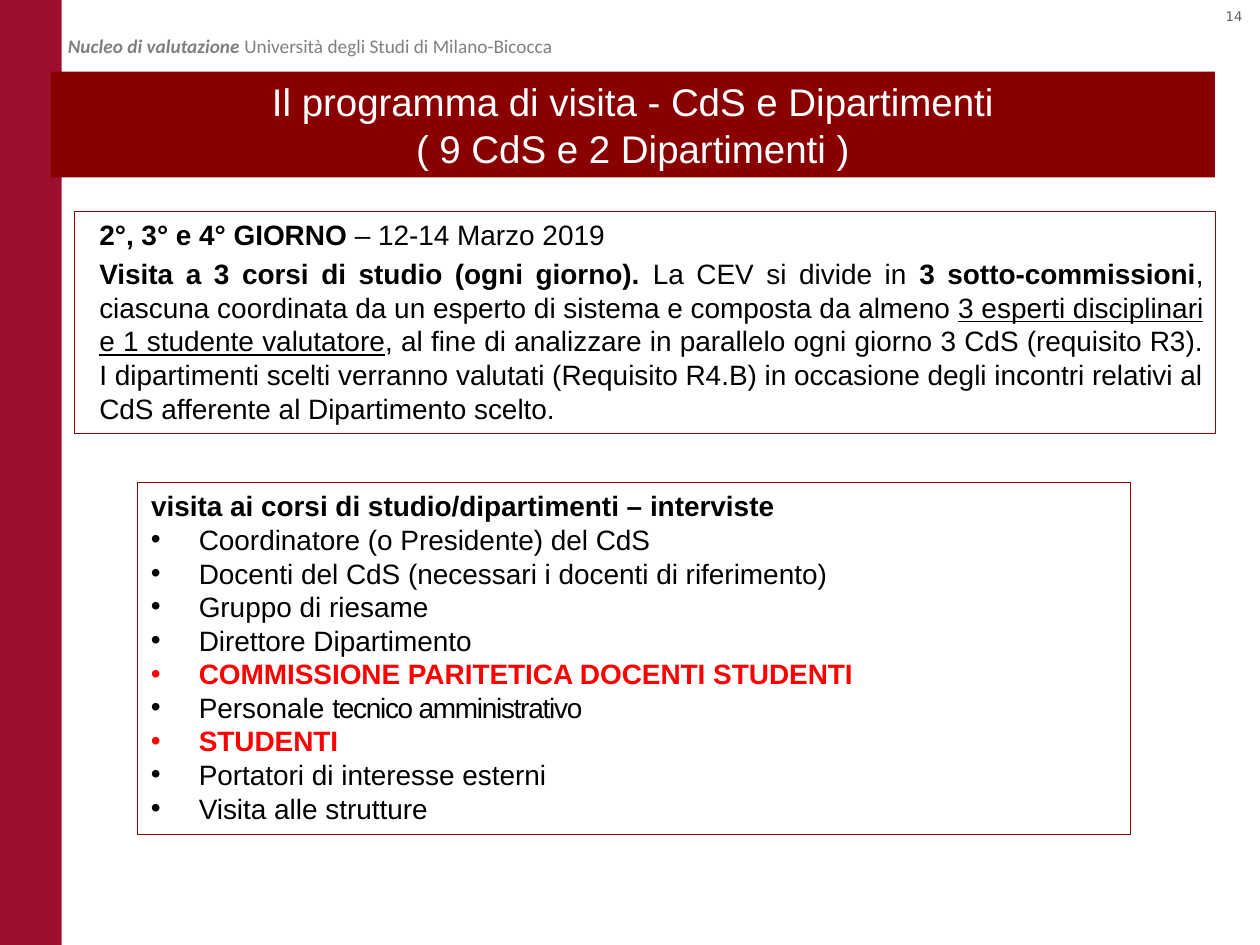
from pptx import Presentation
from pptx.dml.color import RGBColor
from pptx.enum.shapes import MSO_SHAPE
from pptx.enum.text import MSO_ANCHOR, PP_ALIGN
from pptx.oxml.ns import qn
from pptx.util import Pt
from lxml import etree

RECTANGLE = MSO_SHAPE.RECTANGLE
TOP, MIDDLE = MSO_ANCHOR.TOP, MSO_ANCHOR.MIDDLE
LEFT, CENTER, RIGHT, JUSTIFY = (
    PP_ALIGN.LEFT, PP_ALIGN.CENTER, PP_ALIGN.RIGHT, PP_ALIGN.JUSTIFY)

BLACK = RGBColor(0x00, 0x00, 0x00)
WHITE = RGBColor(0xFF, 0xFF, 0xFF)
RED = RGBColor(0xFF, 0x00, 0x00)
CRIMSON = RGBColor(0x9C, 0x10, 0x2E)
DARK_RED = RGBColor(0x8A, 0x00, 0x00)
GREY = RGBColor(0x80, 0x80, 0x80)
DARK_GREY = RGBColor(0x60, 0x60, 0x60)

HEADING = "visita ai corsi di studio/dipartimenti – interviste"
INTERVIEWS = [
    "Coordinatore (o Presidente) del CdS",
    "Docenti del CdS (necessari i docenti di riferimento)",
    "Gruppo di riesame",
    "Direttore Dipartimento",
    "COMMISSIONE PARITETICA DOCENTI STUDENTI",
    ["Personale ", ("tecnico amministrativo", {"tracking": -0.7})],
    "STUDENTI",
    "Portatori di interesse esterni",
    "Visita alle strutture",
]
BOLD = {"bold": True}
DAY = [("2°, 3° e 4° GIORNO ", BOLD), "– 12-14 Marzo 2019"]
VISIT = [
    ("Visita a 3 corsi di studio (ogni giorno). ", BOLD),
    "La CEV si divide in ",
    ("3 sotto-commissioni", BOLD),
    ", ciascuna coordinata da un esperto di sistema e composta da almeno ",
    ("3 esperti disciplinari e 1 studente valutatore", {"underline": True}),
    ", al fine di analizzare in parallelo ogni giorno 3 CdS (requisito R3). "
    "I dipartimenti scelti verranno valutati (Requisito R4.B) in occasione "
    "degli incontri relativi al CdS afferente al Dipartimento scelto.",
]


class SlideWriter:
    def __init__(self, page, font="Arial", size=16, color=BLACK):
        self.page = page
        self.font, self.size, self.color = font, size, color

    def rectangle(self, left, top, width, height, fill=None, line=None,
                  anchor=TOP):
        shape = self.page.shapes.add_shape(
            RECTANGLE, Pt(left), Pt(top), Pt(width), Pt(height))
        shape.shadow.inherit = False
        if fill is None:
            shape.fill.background()
        else:
            shape.fill.solid()
            shape.fill.fore_color.rgb = fill
        if line is None:
            shape.line.fill.background()
        else:
            shape.line.color.rgb = line
            shape.line.width = Pt(0.75)
        return self.prepare(shape, anchor)

    def text_box(self, left, top, width, height):
        return self.prepare(self.page.shapes.add_textbox(
            Pt(left), Pt(top), Pt(width), Pt(height)), TOP)

    def prepare(self, box, anchor):
        box.text_frame.word_wrap = True
        box.text_frame.vertical_anchor = anchor
        return box

    def paragraph(self, box, spans, align=LEFT, indent=0, hanging=0, before=0,
                  **style):
        """Write spans, each a string or (string, style), as the next paragraph."""
        frame = box.text_frame
        para = frame.paragraphs[0] if not frame.text else frame.add_paragraph()
        para.alignment = align
        para.space_before = Pt(before)
        properties = para._p.get_or_add_pPr()
        properties.set("marL", str(Pt(indent)))
        properties.set("indent", str(Pt(-hanging)))
        if hanging:
            etree.SubElement(properties, qn("a:buFont")).set("typeface", "Arial")
            etree.SubElement(properties, qn("a:buChar")).set("char", "•")
        for item in [spans] if isinstance(spans, str) else spans:
            text, own = (item, {}) if isinstance(item, str) else item
            self.span(para, text, **{**style, **own})

    def span(self, para, text, font=None, size=None, color=None, bold=False,
             italic=False, underline=False, tracking=0):
        run = para.add_run()
        run.text = text
        run.font.name = font or self.font
        run.font.size = Pt(size or self.size)
        run.font.color.rgb = self.color if color is None else color
        run.font.bold, run.font.italic = bold, italic
        run.font.underline = underline
        if tracking:
            run.font._element.set("spc", str(round(tracking * 100)))


def main():
    deck = Presentation()
    deck.slide_width, deck.slide_height = Pt(720), Pt(540)
    writer = SlideWriter(deck.slides.add_slide(deck.slide_layouts[6]))

    number = writer.text_box(681.8, 1.4, 35.3, 16.6)
    writer.paragraph(number, "14", RIGHT, font="DejaVu Sans", size=7.5,
                     color=DARK_GREY)
    writer.rectangle(0, 0, 35.3, 540, fill=CRIMSON)

    header = writer.text_box(31.7, 15.8, 368.6, 20.9)
    writer.paragraph(
        header,
        [("Nucleo di valutazione ", {"bold": True, "italic": True}),
         "Università degli Studi di Milano-Bicocca"],
        font="Calibri", size=11, color=GREY)

    title = writer.rectangle(29, 41, 665.3, 60.5, fill=DARK_RED, anchor=MIDDLE)
    for line in ("Il programma di visita - CdS e Dipartimenti",
                 "( 9 CdS e 2 Dipartimenti )"):
        writer.paragraph(title, line, CENTER, size=22, color=WHITE)

    interviews = writer.rectangle(78.5, 275.8, 567.4, 200.9, line=DARK_RED)
    writer.paragraph(interviews, HEADING, indent=0.7, bold=True)
    for entry in INTERVIEWS:
        key = isinstance(entry, str) and entry.isupper()
        writer.paragraph(interviews, entry, indent=28, hanging=27.4, bold=key,
                         color=RED if key else BLACK)

    program = writer.rectangle(42.5, 121, 652.3, 126.7, line=DARK_RED)
    writer.paragraph(program, DAY, JUSTIFY, indent=7.2)
    writer.paragraph(program, VISIT, JUSTIFY, indent=7.2, before=3)

    deck.save("out.pptx")


if __name__ == "__main__":
    main()
